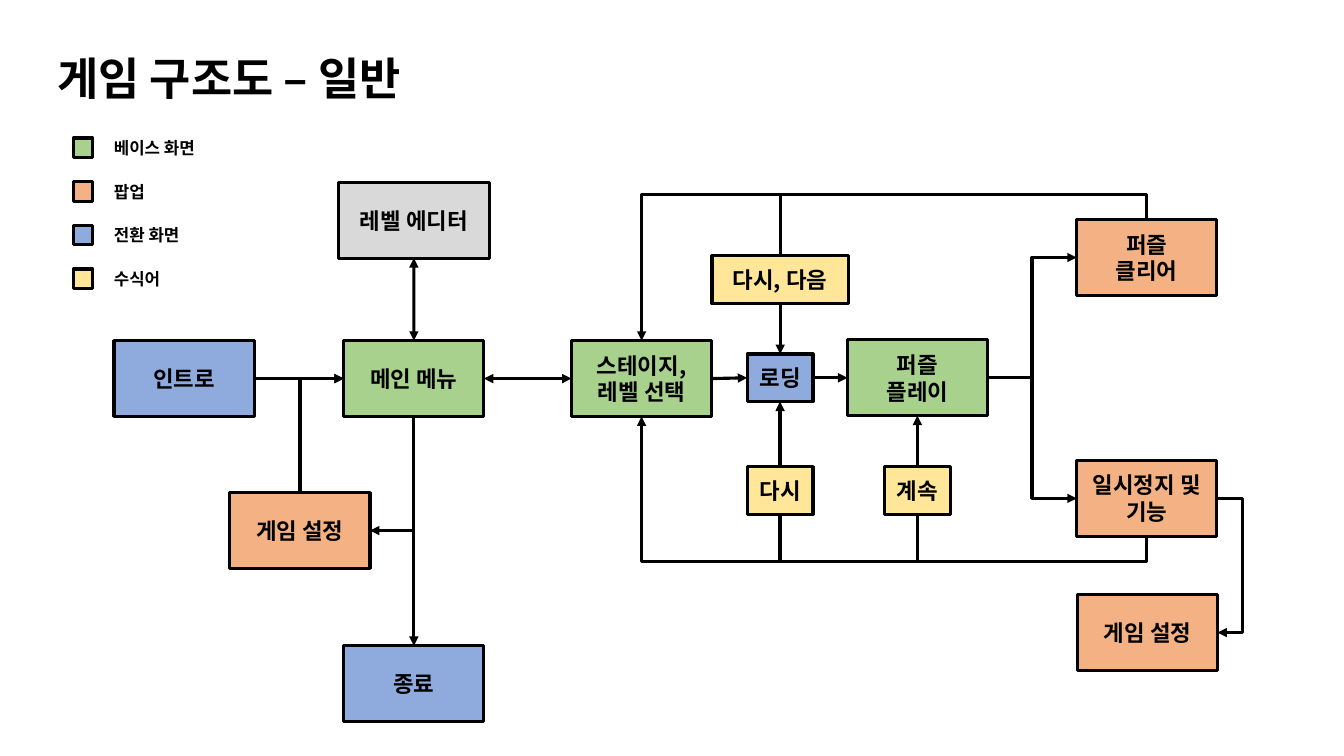
import pptx
import pptx.util
import pptx.dml.color
import pptx.enum.shapes
import pptx.enum.text
import pptx.oxml.ns
import pptx.oxml.xmlchemy

Cm = pptx.util.Cm
Pt = pptx.util.Pt
RGB = pptx.dml.color.RGBColor
KIND = pptx.enum.shapes.MSO_CONNECTOR
RECT = pptx.enum.shapes.MSO_SHAPE.RECTANGLE
ALIGN = pptx.enum.text.PP_ALIGN
ANCHOR = pptx.enum.text.MSO_ANCHOR
FIT = pptx.enum.text.MSO_AUTO_SIZE
qn = pptx.oxml.ns.qn

BLACK = RGB(0x00, 0x00, 0x00)
GREEN = RGB(0xA9, 0xD1, 0x8E)
ORANGE = RGB(0xF4, 0xB1, 0x83)
BLUE = RGB(0x8F, 0xAA, 0xDC)
YELLOW = RGB(0xFF, 0xE6, 0x99)
GRAY = RGB(0xD9, 0xD9, 0xD9)
FONT = "Noto Sans CJK KR"
TOP, LEFT, BASE, RIGHT = range(4)


def add(node, tag, **attrs):
    child = pptx.oxml.xmlchemy.OxmlElement(tag)
    for key, value in attrs.items():
        child.set(key, value)
    node.append(child)
    return child


def write(frame, text, size, align, anchor):
    frame.text = text
    frame.word_wrap = True
    frame.vertical_anchor = anchor
    for para in frame.paragraphs:
        para.alignment = align
        para.line_spacing = 1.0
        para.space_before = Pt(0)
        for run in para.runs:
            run.font.size = Pt(size)
            run.font.bold = True
            run.font.name = FONT
            run.font.color.rgb = BLACK
            add(run.font._element, "a:ea", typeface=FONT)


def block(slide, x, y, w, h, fill):
    shape = slide.shapes.add_shape(RECT, Cm(x), Cm(y), Cm(w), Cm(h))
    shape.shadow.inherit = False
    shape.fill.solid()
    shape.fill.fore_color.rgb = fill
    shape.line.color.rgb = BLACK
    shape.line.width = Pt(2.25)
    return shape


def turn(line, down, across):
    x, y = line.begin_x + line.end_x, line.begin_y + line.end_y
    line.width, line.height = abs(down), abs(across)
    line.left, line.top = (x - abs(down)) // 2, (y - abs(across)) // 2
    frame = line._element.spPr.find(qn("a:xfrm"))
    frame.set("rot", "5400000")
    frame.set("flipH", str(int(down < 0)))
    frame.set("flipV", str(int(across > 0)))


def link(slide, start, out, end, into, kind=KIND.STRAIGHT, stub=None, corner=False, both=False):
    line = slide.shapes.add_connector(kind, 0, 0, 0, 0)
    line.begin_connect(start, out)
    line.end_connect(end, into)
    line.line.color.rgb = BLACK
    line.line.width = Pt(2.25)
    across, down = line.end_x - line.begin_x, line.end_y - line.begin_y
    upright = out in (TOP, BASE)
    props = line._element.spPr
    shape = props.find(qn("a:prstGeom"))
    if corner:
        shape.set("prst", "bentConnector2")
    elif stub:
        ratio = stub * (-1 if out == TOP else 1) / (down if upright else across)
        guides = shape.get_or_add_avLst()
        add(guides, "a:gd", name="adj1", fmla=f"val {round(ratio * 100000)}")
    if upright and kind == KIND.ELBOW:
        turn(line, down, across)
    stroke = props.find(qn("a:ln"))
    if both:
        add(stroke, "a:headEnd", type="triangle")
    add(stroke, "a:tailEnd", type="triangle")
    add(props, "a:effectLst")


def head(slide, x, y, w, h):
    title = slide.shapes.title
    title.left, title.top, title.width, title.height = Cm(x), Cm(y), Cm(w), Cm(h)
    write(title.text_frame, "게임 구조도 – 일반", 32, ALIGN.LEFT, ANCHOR.TOP)
    title.text_frame.auto_size = FIT.SHAPE_TO_FIT_TEXT


def legend(slide, x, y, w, h):
    rows = [("베이스 화면", GREEN), ("팝업", ORANGE), ("전환 화면", BLUE), ("수식어", YELLOW)]
    step = h / len(rows)
    for i, (text, fill) in enumerate(rows):
        top = y + i * step
        block(slide, x, top + 0.13, 0.49, 0.49, fill)
        label = slide.shapes.add_textbox(Cm(x + 0.77), Cm(top), Cm(w - 0.77), Cm(0.77))
        write(label.text_frame, text, 12, ALIGN.LEFT, ANCHOR.TOP)


def flow(slide, x, y):
    def node(text, cx, cy, fill, w=3.53, h=1.91):
        shape = block(slide, x + cx - w / 2, y + cy - h / 2, w, h, fill)
        write(shape.text_frame, text, 16, ALIGN.CENTER, ANCHOR.MIDDLE)
        return shape

    intro = node("인트로", 1.77, 4.94, BLUE)
    menu = node("메인 메뉴", 7.56, 4.94, GREEN)
    stage = node("스테이지,\n레벨 선택", 13.3, 4.94, GREEN)
    load = node("로딩", 16.79, 4.92, BLUE, 1.66, 1.2)
    play = node("퍼즐\n플레이", 20.25, 4.92, GREEN)
    editor = node("레벨 에디터", 7.56, 0.95, GRAY, 3.81)
    setup = node("게임 설정", 4.69, 8.77, ORANGE)
    leave = node("종료", 7.56, 12.63, BLUE)
    clear = node("퍼즐\n클리어", 26.03, 1.89, ORANGE)
    pause = node("일시정지 및 기능", 26.03, 7.96, ORANGE)
    option = node("게임 설정", 26.05, 11.34, ORANGE)

    for start, out, end, into, both in [
        (intro, RIGHT, menu, LEFT, False),
        (menu, RIGHT, stage, LEFT, True),
        (stage, RIGHT, load, LEFT, False),
        (load, RIGHT, play, LEFT, False),
        (menu, TOP, editor, BASE, True),
        (menu, BASE, leave, TOP, False),
    ]:
        link(slide, start, out, end, into, both=both)

    for start, out, end, into in [(menu, BASE, setup, RIGHT), (setup, TOP, menu, LEFT)]:
        link(slide, start, out, end, into, KIND.ELBOW, corner=True)
    for end in (clear, pause):
        link(slide, play, RIGHT, end, LEFT, KIND.ELBOW)
    for start, out, end, into in [
        (clear, TOP, stage, TOP),
        (clear, TOP, load, TOP),
        (pause, BASE, stage, BASE),
        (pause, BASE, load, BASE),
        (pause, BASE, play, BASE),
        (pause, RIGHT, option, RIGHT),
    ]:
        link(slide, start, out, end, into, KIND.ELBOW, stub=Cm(0.64))

    for text, cx, cy, w in [
        ("다시", 16.79, 7.76, 1.66),
        ("계속", 20.25, 7.76, 1.66),
        ("다시, 다음", 16.79, 2.45, 3.43),
    ]:
        node(text, cx, cy, YELLOW, w, 1.2)


deck = pptx.Presentation()
deck.slide_width, deck.slide_height = Cm(33.87), Cm(19.05)
page = deck.slides.add_slide(deck.slide_layouts[5])
head(page, 1.19, 1.14, 10.67, 1.63)
legend(page, 1.85, 3.35, 4.55, 4.4)
flow(page, 2.87, 4.6)
deck.save("out.pptx")
